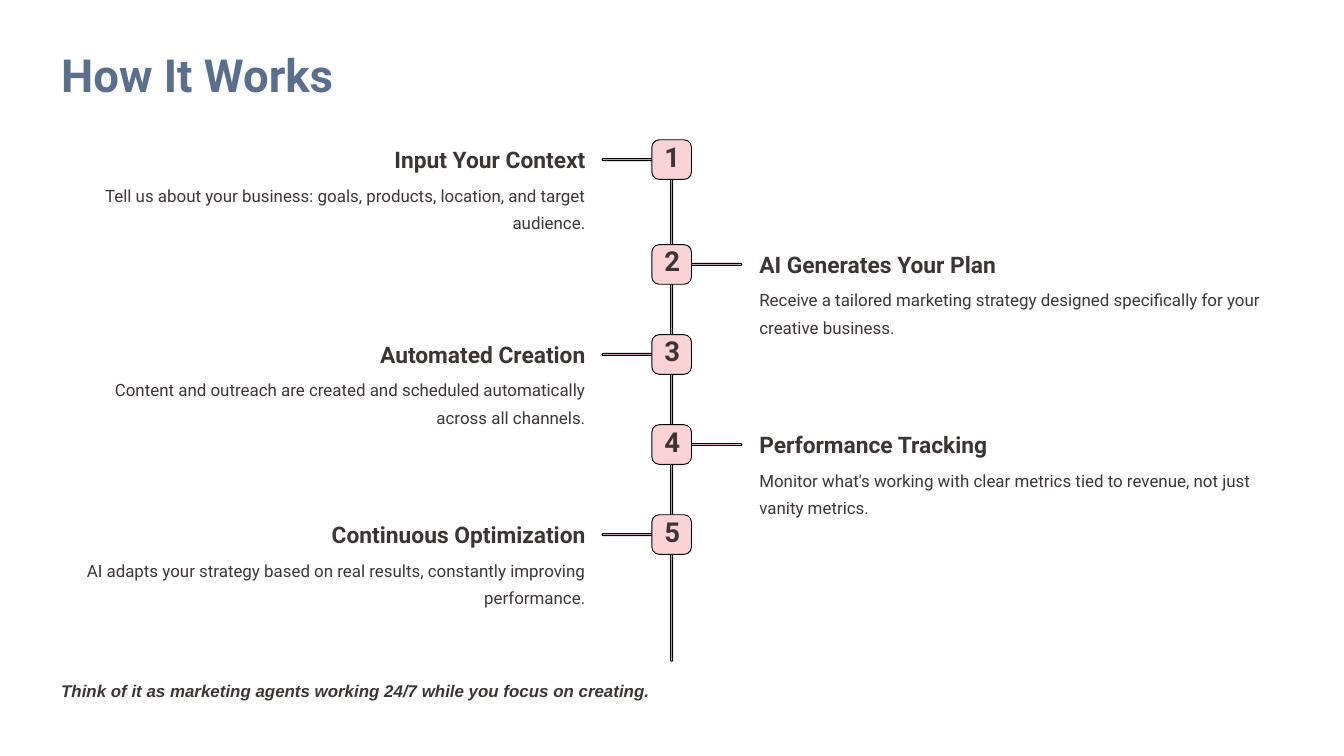
from dataclasses import dataclass

from pptx import Presentation
from pptx.dml.color import RGBColor
from pptx.enum.shapes import MSO_SHAPE
from pptx.enum.text import PP_ALIGN
from pptx.util import Inches, Pt


@dataclass(frozen=True)
class Theme:
    title: str = "5B6E8C"
    ink: str = "3B3535"
    rail: str = "DFB8BC"
    badge: str = "F9D2D6"
    edge: str = "000000"
    page: str = "FFFFFF"
    font: str = "Roboto"
    note: str = "Arial"
    huge: float = 48.8
    digit: float = 29.4
    head: float = 24.4
    body: float = 18.1


class Board:
    """Draws styled elements on the current slide."""

    def __init__(self, slide, theme):
        self.slide = slide
        self.theme = theme
        fill = slide.background.fill
        fill.solid()
        fill.fore_color.rgb = RGBColor.from_string(theme.page)

    def text(self, words, box, size, lead, align=PP_ALIGN.LEFT,
             color=None, face=None, bold=False, italic=False):
        frame = self.slide.shapes.add_textbox(*map(Inches, box)).text_frame
        frame.word_wrap = True
        frame.margin_left = frame.margin_right = 0
        frame.margin_top = frame.margin_bottom = 0
        para = frame.paragraphs[0]
        para.text = words
        para.alignment = align
        para.line_spacing = Pt(lead)
        font = para.font
        font.name = face or self.theme.font
        font.size = Pt(size)
        font.bold = bold
        font.italic = italic
        font.color.rgb = RGBColor.from_string(color or self.theme.ink)

    def block(self, box, color, curve):
        shape = self.slide.shapes.add_shape(
            MSO_SHAPE.ROUNDED_RECTANGLE, *map(Inches, box))
        shape.adjustments[0] = curve
        shape.shadow.inherit = False
        shape.fill.solid()
        shape.fill.fore_color.rgb = RGBColor.from_string(color)
        shape.line.color.rgb = RGBColor.from_string(self.theme.edge)
        shape.line.width = Pt(1)

    def rail(self, box):
        self.block(box, self.theme.rail, 0.5)

    def badge(self, number, top):
        self.block((9.7, top, 0.59, 0.59), self.theme.badge, 0.19)
        self.text(str(number), (9.8, top + 0.08, 0.41, 0.47),
                  self.theme.digit, 29.4, PP_ALIGN.CENTER, bold=True)

    def step(self, number, top, head, width, body):
        left = number % 2 == 1
        align = PP_ALIGN.RIGHT if left else PP_ALIGN.LEFT
        start = 8.71 - width if left else 11.3
        self.rail((8.96 if left else 10.26, top + 0.28, 0.78, 0.03))
        self.badge(number, top)
        self.text(head, (start, top + 0.07, width, 0.45),
                  self.theme.head, 30.6, align, bold=True)
        self.text(body, (0.91 if left else 11.3, top + 0.57, 7.8, 0.93),
                  self.theme.body, 29.4, align)


STEPS = [
    ("Input Your Context", 3.41,
     "Tell us about your business: goals, products, location, and target audience."),
    ("AI Generates Your Plan", 3.96,
     "Receive a tailored marketing strategy designed specifically for your creative business."),
    ("Automated Creation", 3.6,
     "Content and outreach are created and scheduled automatically across all channels."),
    ("Performance Tracking", 3.85,
     "Monitor what's working with clear metrics tied to revenue, not just vanity metrics."),
    ("Continuous Optimization", 4.45,
     "AI adapts your strategy based on real results, constantly improving performance."),
]


def main():
    deck = Presentation()
    deck.slide_width = Inches(20)
    deck.slide_height = Inches(11.25)
    theme = Theme()
    board = Board(deck.slides.add_slide(deck.slide_layouts[6]), theme)

    board.text("How It Works", (0.91, 0.66, 6.83, 0.91), theme.huge, 61.2,
               color=theme.title, bold=True)
    board.rail((9.98, 2.09, 0.03, 7.75))
    for index, (head, width, body) in enumerate(STEPS):
        top = 2.3 + 1.34 * index if index else 2.08
        board.step(index + 1, top, head, width, body)
    board.text("Think of it as marketing agents working 24/7 while you focus on creating.",
               (0.91, 10.02, 18.18, 0.4), theme.body, 29.4,
               face=theme.note, bold=True, italic=True)
    deck.save("out.pptx")


if __name__ == "__main__":
    main()
